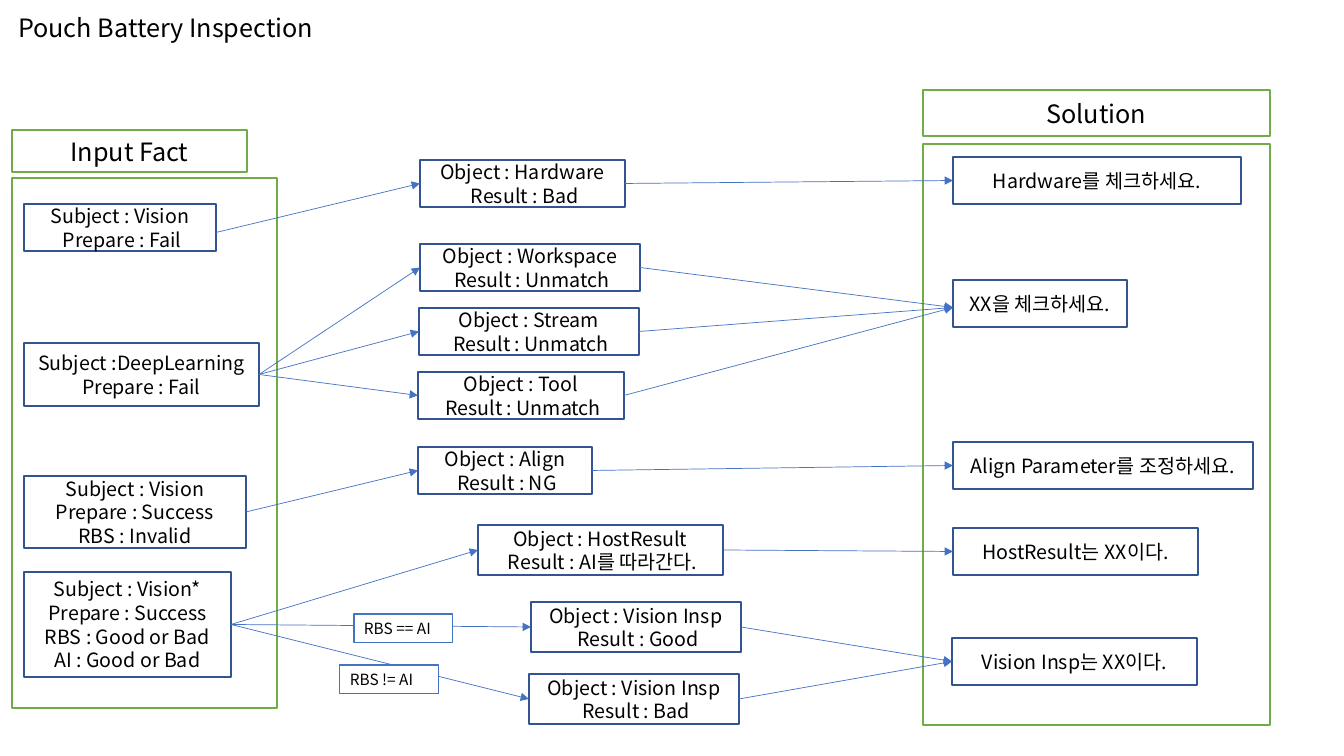
from lxml import etree
from pptx import Presentation
from pptx import util as u
from pptx.dml.color import RGBColor
from pptx.enum import shapes, text
from pptx.oxml.ns import qn

PX = 914400 / 100.8
FONT = "Noto Sans CJK KR"
COLORS = {"text": "000000", "paper": "FFFFFF", "box": "325491", "frame": "70AD47", "link": "4472C4"}


def write(shape, lines, size, align, anchor):
    frame = shape.text_frame
    frame.word_wrap = True
    frame.vertical_anchor = anchor
    frame.text = "\n".join(lines)
    for paragraph in frame.paragraphs:
        paragraph.alignment = align
        paragraph.line_spacing = 1
        paragraph.space_before = u.Pt(0)
        paragraph.font.size = u.Pt(size)
        paragraph.font.name = FONT
        paragraph.font.color.rgb = RGBColor.from_string(COLORS["text"])
        for run in paragraph.runs:
            east_asian = etree.SubElement(run._r.get_or_add_rPr(), qn("a:ea"))
            east_asian.set("typeface", FONT)


def add_box(bounds, line, width=1, fill=None):
    shape = slide.shapes.add_shape(shapes.MSO_SHAPE.RECTANGLE, *[round(v * PX) for v in bounds])
    shape.shadow.inherit = False
    shape.line.color.rgb = RGBColor.from_string(COLORS[line])
    shape.line.width = u.Pt(width)
    if fill:
        shape.fill.solid()
        shape.fill.fore_color.rgb = RGBColor.from_string(COLORS[fill])
    else:
        shape.fill.background()
    return shape


presentation = Presentation()
presentation.slide_width = round(1344 * PX)
presentation.slide_height = round(756 * PX)
slide = presentation.slides.add_slide(presentation.slide_layouts[5])

title = slide.shapes.title
title.left, title.top, title.width, title.height = [round(v * PX) for v in (8, 7, 508, 40)]
write(title, ["Pouch Battery Inspection"], 18, text.PP_ALIGN.LEFT, text.MSO_ANCHOR.TOP)
title.text_frame.auto_size = text.MSO_AUTO_SIZE.NONE

for bounds in [(12, 178, 265, 530), (923, 144, 347, 581)]:
    add_box(bounds, "frame")
for heading, bounds in [("Input Fact", (12, 130, 235, 42)), ("Solution", (923, 90, 347, 46))]:
    shape = add_box(bounds, "frame", fill="paper")
    write(shape, [heading], 18, text.PP_ALIGN.CENTER, text.MSO_ANCHOR.MIDDLE)

BOXES = {
    "vision fail": ((24, 204, 192, 47), ["Subject : Vision", " Prepare : Fail"]),
    "deep learning": ((24, 343, 235, 63), ["Subject :DeepLearning", "Prepare : Fail"]),
    "vision invalid": ((24, 476, 222, 72), ["Subject : Vision", "Prepare : Success", "RBS : Invalid"]),
    "vision success": ((24, 572, 207, 105),
                       ["Subject : Vision*", "Prepare : Success", "RBS : Good or Bad", "AI : Good or Bad"]),
    "hardware": ((420, 160, 205, 47), ["Object : Hardware", " Result : Bad"]),
    "workspace": ((420, 244, 220, 47), ["Object : Workspace", " Result : Unmatch"]),
    "stream": ((419, 308, 220, 47), ["Object : Stream", " Result : Unmatch"]),
    "tool": ((418, 372, 206, 47), ["Object : Tool", " Result : Unmatch"]),
    "align": ((418, 447, 174, 47), ["Object : Align", " Result : NG"]),
    "host result": ((478, 525, 245, 50), ["Object : HostResult", " Result : AI를 따라간다."]),
    "insp good": ((531, 602, 210, 50), ["Object : Vision Insp", " Result : Good"]),
    "insp bad": ((529, 674, 210, 50), ["Object : Vision Insp", " Result : Bad"]),
    "check hardware": ((953, 157, 288, 47), ["Hardware를 체크하세요."]),
    "check XX": ((953, 280, 174, 47), ["XX을 체크하세요."]),
    "adjust align": ((953, 442, 300, 47), ["Align Parameter를 조정하세요."]),
    "host is XX": ((953, 528, 245, 47), ["HostResult는 XX이다."]),
    "insp is XX": ((952, 638, 245, 47), ["Vision Insp는 XX이다."]),
}
boxes = {}
for name, (bounds, lines) in BOXES.items():
    boxes[name] = add_box(bounds, "box")
    write(boxes[name], lines, 14, text.PP_ALIGN.CENTER, text.MSO_ANCHOR.MIDDLE)

LINKS = [
    ("vision fail", ["hardware"]),
    ("deep learning", ["workspace", "stream", "tool"]),
    ("vision invalid", ["align"]),
    ("vision success", ["host result", "insp good", "insp bad"]),
    ("hardware", ["check hardware"]),
    ("workspace", ["check XX"]),
    ("stream", ["check XX"]),
    ("tool", ["check XX"]),
    ("align", ["adjust align"]),
    ("host result", ["host is XX"]),
    ("insp good", ["insp is XX"]),
    ("insp bad", ["insp is XX"]),
]
OFF_CENTRE = {"vision fail": 5, "check XX": 4}
for source, targets in LINKS:
    for target in targets:
        start, end = boxes[source], boxes[target]
        start_y = start.top + start.height // 2 + round(OFF_CENTRE.get(source, 0) * PX)
        end_y = end.top + end.height // 2 + round(OFF_CENTRE.get(target, 0) * PX)
        connector = slide.shapes.add_connector(
            shapes.MSO_CONNECTOR.STRAIGHT, start.left + start.width, start_y, end.left, end_y)
        if source not in OFF_CENTRE:
            connector.begin_connect(start, 3)
        if target not in OFF_CENTRE:
            connector.end_connect(end, 1)
        connector.line.color.rgb = RGBColor.from_string(COLORS["link"])
        connector.line.width = u.Pt(0.5)
        etree.SubElement(connector.line._get_or_add_ln(), qn("a:tailEnd")).set("type", "triangle")
        etree.SubElement(connector._element.spPr, qn("a:effectLst"))

for label, left, top in [("RBS == AI", 354, 614), ("RBS != AI", 340, 665)]:
    shape = add_box((left, top, 99, 29), "link", 0.75, "paper")
    write(shape, [label], 11, text.PP_ALIGN.LEFT, text.MSO_ANCHOR.TOP)

presentation.save("out.pptx")
